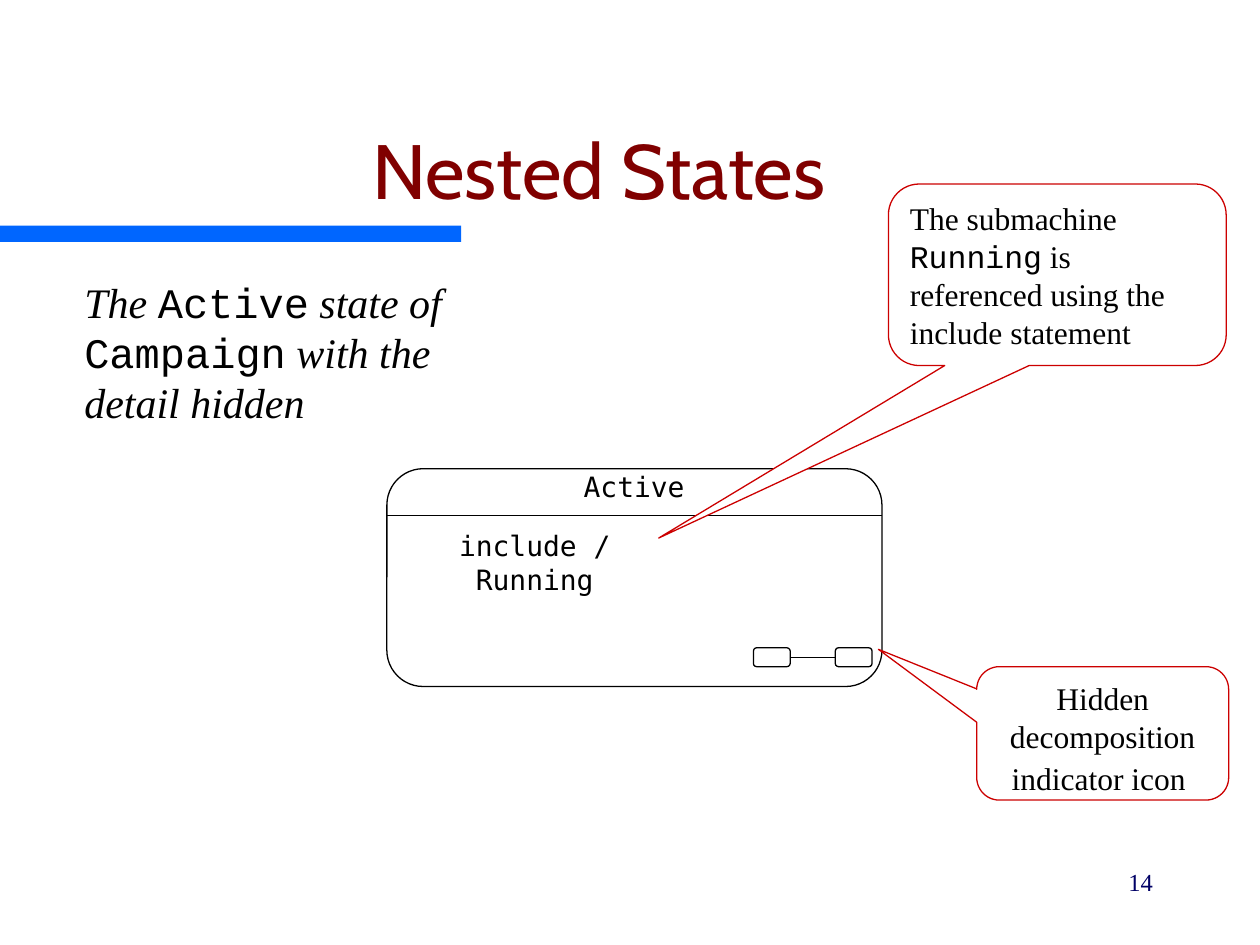
from lxml.etree import SubElement
from pptx import Presentation
from pptx.dml.color import RGBColor
from pptx.enum.shapes import MSO_CONNECTOR, MSO_SHAPE as Shape
from pptx.enum.text import MSO_ANCHOR as Anchor, PP_ALIGN as Align
from pptx.oxml.ns import qn
from pptx.util import Cm, Pt

SERIF, MONO, CODE, HEADING = "Times New Roman", "DejaVu Sans Mono", "Courier New", "Cabin"
BLACK, RED = "000000", "CC0000"


def color(hex_code):
    return RGBColor.from_string(hex_code)


def write(frame, runs, size, font=None, ink=BLACK, align=Align.LEFT, anchor=Anchor.TOP, before=0):
    frame.word_wrap = True
    frame.vertical_anchor = anchor
    paragraph = frame.paragraphs[0]
    paragraph.alignment = align
    paragraph.space_before = Pt(before)
    paragraph.font.size = Pt(size)
    paragraph.font.color.rgb = color(ink)
    if font:
        paragraph.font.name = font
    for words, style in runs:
        run = paragraph.add_run()
        run.text = words
        for name, value in style.items():
            setattr(run.font, name, value)


def add_text(slide, box, words, size, font, **style):
    label = slide.shapes.add_textbox(*map(Cm, box))
    write(label.text_frame, [(words, {})], size, font, **style)


def add_box(slide, kind, box, fill=None, line=None, adjustments=()):
    shape = slide.shapes.add_shape(kind, *map(Cm, box))
    shape.shadow.inherit = False
    for index, value in enumerate(adjustments):
        shape.adjustments[index] = value
    if fill:
        shape.fill.solid()
        shape.fill.fore_color.rgb = color(fill)
    else:
        shape.fill.background()
    if line:
        shape.line.color.rgb = color(line)
        shape.line.width = Pt(0.75)
    else:
        shape.line.fill.background()
    return shape


def add_rule(slide, left, right, y):
    rule = slide.shapes.add_connector(MSO_CONNECTOR.STRAIGHT, Cm(left), Cm(y), Cm(right), Cm(y))
    rule.line.color.rgb = color(BLACK)
    rule.line.width = Pt(0.75)
    SubElement(rule._element.spPr, qn("a:effectLst"))


def add_callout(slide, box, tip, runs, align=Align.LEFT):
    callout = add_box(slide, Shape.ROUNDED_RECTANGULAR_CALLOUT, box, "FFFFFF", RED, (*tip, 0.17))
    write(callout.text_frame, runs, 18, align=align)


def add_active_state(slide):
    add_text(slide, (7.82, 9.35, 9.93, 0.94), "Active", 16, MONO, align=Align.CENTER)
    add_box(slide, Shape.FLOWCHART_ALTERNATE_PROCESS, (7.8, 9.45, 9.98, 4.39), line=BLACK)
    add_rule(slide, 7.8, 17.78, 10.39)
    add_text(slide, (8.2, 10.54, 5.16, 0.94), "include / Running", 16, MONO, align=Align.CENTER)
    for left in (15.19, 16.84):
        add_box(slide, Shape.ROUNDED_RECTANGLE, (left, 13.06, 0.74, 0.38), line=BLACK, adjustments=(0.17,))
    add_rule(slide, 15.93, 16.84, 13.25)


def add_caption(slide):
    slanted = {"name": SERIF, "italic": True}
    code = {"name": CODE}
    caption = slide.shapes.add_textbox(Cm(1.45), Cm(5.44), Cm(8.38), Cm(3.3))
    write(caption.text_frame, [
        ("The ", slanted), ("Active", code), (" state of", slanted),
        (" Campaign", code), (" with the detail hidden", slanted),
    ], 24, before=9)


def main():
    deck = Presentation()
    deck.slide_width, deck.slide_height = Cm(25.4), Cm(19.05)
    slide = deck.slides.add_slide(deck.slide_layouts[6])

    add_box(slide, Shape.RECTANGLE, (0, 4.55, 9.3, 0.33), fill="0066FF")
    add_text(slide, (0.64, 1.27, 22.86, 3.18), "Nested States", 44, HEADING,
             ink="800000", align=Align.CENTER, anchor=Anchor.BOTTOM)
    add_active_state(slide)
    add_caption(slide)

    serif = {"name": SERIF}
    add_callout(slide, (19.69, 13.44, 5.08, 2.69), (-0.89, -0.63), [
        ("Hidden decomposition indicator icon", serif),
        (" ", {"name": HEADING, "size": Pt(20)}),
    ], Align.CENTER)
    add_callout(slide, (17.91, 3.71, 6.81, 3.66), (-1.18, 1.45), [
        ("The submachine ", serif), ("Running", {"name": CODE}),
        (" is referenced using the include statement", serif),
    ])
    add_text(slide, (18.21, 17.35, 5.28, 1.27), "14", 14, SERIF,
             ink="000066", align=Align.RIGHT, before=8.8)
    deck.save("out.pptx")


if __name__ == "__main__":
    main()
